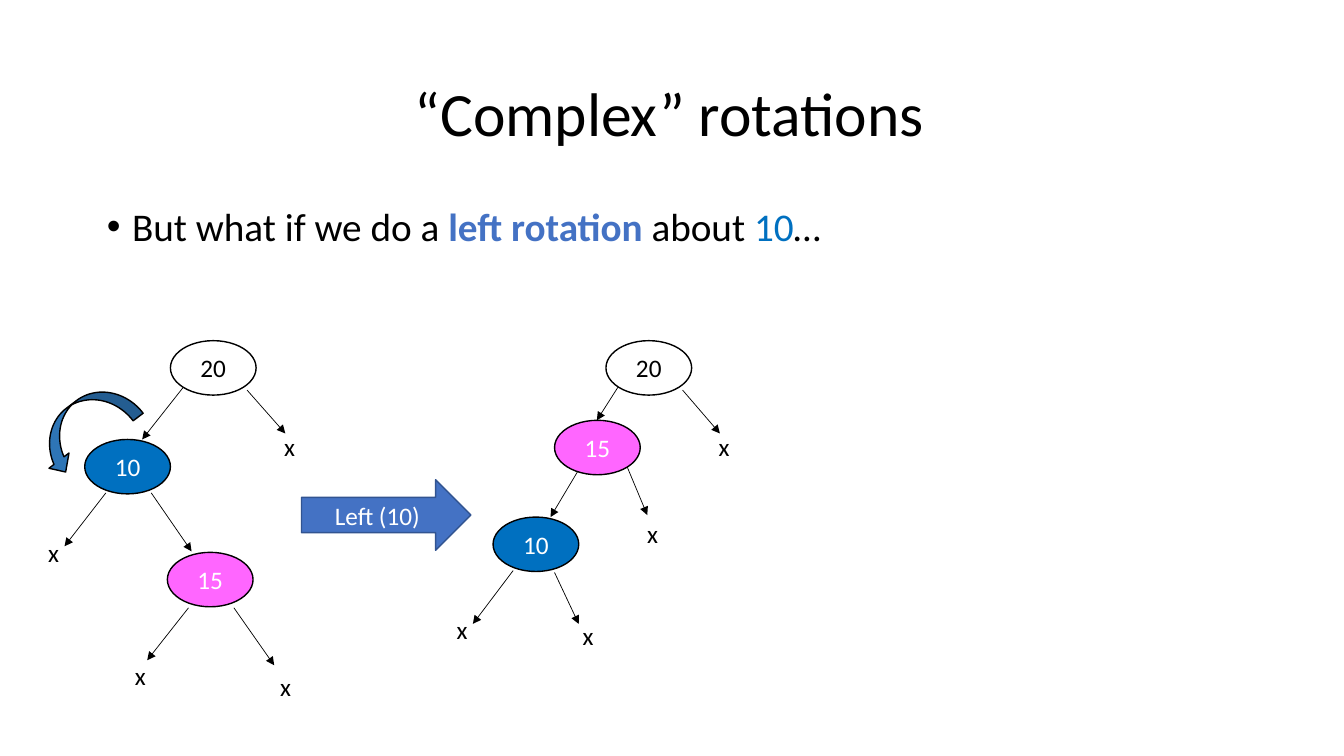
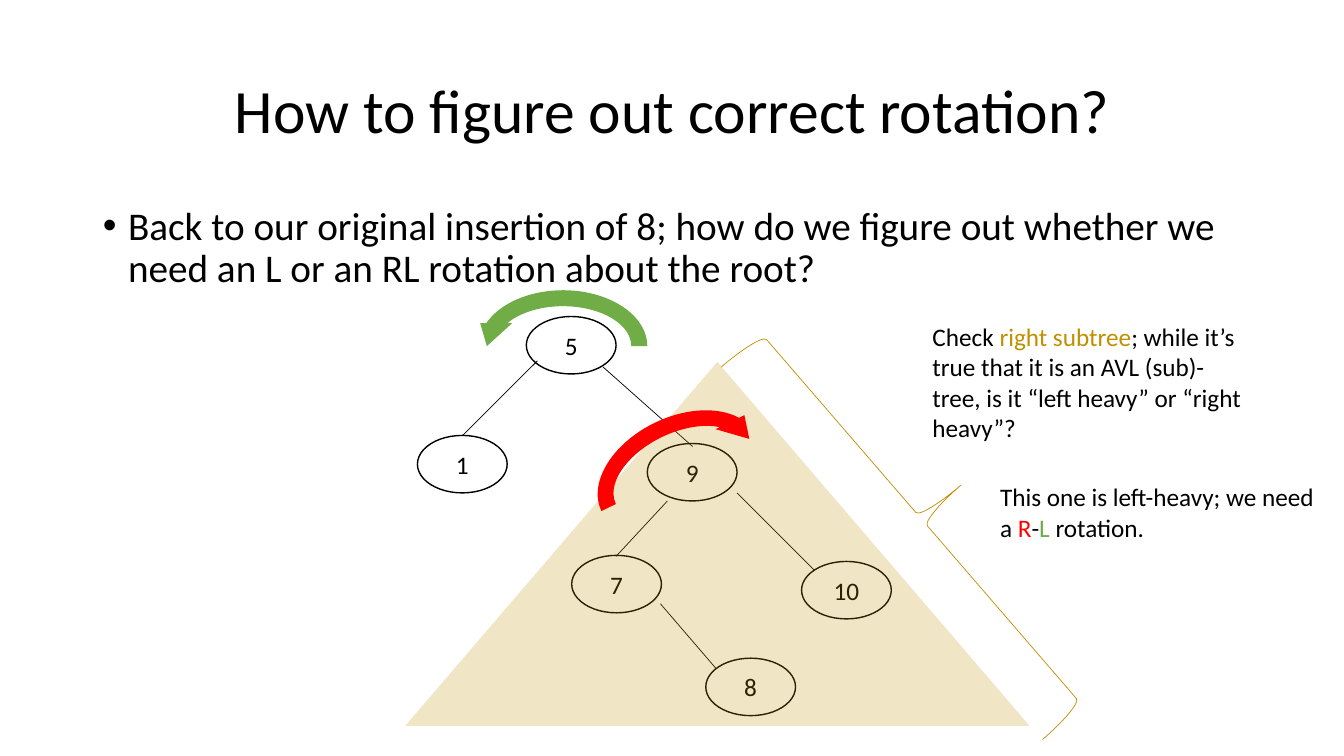
from dataclasses import dataclass
from typing import Any, NamedTuple, Optional

from lxml.etree import SubElement as Sub
from pptx import Presentation
from pptx.dml.color import RGBColor as Rgb
from pptx.enum.shapes import MSO_AUTO_SHAPE_TYPE as Kind, MSO_CONNECTOR as Link
from pptx.enum.text import MSO_ANCHOR as Anchor, MSO_AUTO_SIZE as Fit, PP_ALIGN as Align
from pptx.oxml.ns import qn
from pptx.util import Inches, Pt


# Theme: colours, font and sizes
@dataclass(frozen=True)
class Theme:
    font: str = "Calibri"
    black: str = "000000"
    white: str = "FFFFFF"
    blue: str = "4472C4"
    rim: str = "325491"
    deep: str = "0070C0"
    steel: str = "2E75B6"
    pink: str = "FF66FF"
    gold: str = "BF9000"
    red: str = "FF0000"
    green: str = "70AD47"
    title: int = 44
    body: int = 28
    label: int = 18
    thick: float = 1
    thin: float = 0.5


T = Theme()


class Span(NamedTuple):
    text: str
    ink: str = T.black
    bold: bool = False


class Box(NamedTuple):
    x: float
    y: float
    w: float
    h: float


class Node(NamedTuple):
    text: str
    x: float
    y: float
    fill: Optional[str] = None


class Edge(NamedTuple):
    x1: float
    y1: float
    x2: float
    y2: float


@dataclass
class Tree:
    size: tuple[float, float]
    nodes: list[Node]
    edges: list[Edge]
    nulls: list[tuple[float, float]]
    arrows: bool = False


# Helpers
def apply(target: Any, **style: Any) -> None:
    for name, value in style.items():
        setattr(target, name, value)


def write(frame: Any, spans: list[Span], size: int, **style: Any) -> None:
    para = frame.paragraphs[0]
    apply(para, **style)
    for span in spans:
        run = para.add_run()
        run.text = span.text
        apply(run.font, name=T.font, size=Pt(size), bold=span.bold)
        run.font.color.rgb = Rgb.from_string(span.ink)


def place(shape: Any, box: Box) -> None:
    left, top, width, height = map(Inches, box)
    apply(shape, left=left, top=top, width=width, height=height)


def shape(slide: Any, kind: Any, box: Box, fill: Optional[str] = None,
          line: Optional[str] = None, width: float = T.thick, turn: float = 0,
          flip: bool = False, alpha: Optional[int] = None) -> Any:
    item = slide.shapes.add_shape(kind, *map(Inches, box))
    item.shadow.inherit = False
    item.rotation = turn
    if fill:
        item.fill.solid()
        item.fill.fore_color.rgb = Rgb.from_string(fill)
    else:
        item.fill.background()
    if line:
        item.line.color.rgb = Rgb.from_string(line)
        item.line.width = Pt(width)
    else:
        item.line.fill.background()
    props = item.element.spPr
    if flip:
        props.find(qn("a:xfrm")).set("flipH", "1")
    if alpha is not None:
        tint = props.find(qn("a:solidFill")).find(qn("a:srgbClr"))
        Sub(tint, qn("a:alpha")).set("val", str(alpha * 1000))
    return item


def label(item: Any, text: str, ink: str) -> None:
    item.text_frame.vertical_anchor = Anchor.MIDDLE
    write(item.text_frame, [Span(text, ink)], T.label, alignment=Align.CENTER)


def note(slide: Any, box: Box, spans: list[Span], wrap: bool = True) -> None:
    frame = slide.shapes.add_textbox(*map(Inches, box)).text_frame
    apply(frame, word_wrap=wrap, auto_size=Fit.SHAPE_TO_FIT_TEXT)
    write(frame, spans, T.label)


def join(slide: Any, edge: Edge, arrow: bool) -> None:
    item = slide.shapes.add_connector(Link.STRAIGHT, *map(Inches, edge))
    item.line.color.rgb = Rgb.from_string(T.black)
    item.line.width = Pt(T.thin)
    if arrow:
        tail = Sub(item.line._get_or_add_ln(), qn("a:tailEnd"))
        tail.set("type", "triangle")
    Sub(item.element.spPr, qn("a:effectLst"))


def draw(slide: Any, tree: Tree) -> None:
    for edge in tree.edges:
        join(slide, edge, tree.arrows)
    for node in tree.nodes:
        oval = shape(slide, Kind.OVAL, Box(node.x, node.y, *tree.size), node.fill, T.black)
        label(oval, node.text, T.white if node.fill else T.black)
    for x, y in tree.nulls:
        note(slide, Box(x, y, 0.31, 0.4), [Span("x")], wrap=False)


def page(deck: Any, title: str, head: Box, spans: list[Span], main: Box) -> Any:
    slide = deck.slides.add_slide(deck.slide_layouts[1])
    name, body = slide.shapes.title, slide.placeholders[1]
    place(name, head)
    place(body, main)
    for item, anchor in ((name, Anchor.MIDDLE), (body, Anchor.TOP)):
        apply(item.text_frame, vertical_anchor=anchor, word_wrap=True, auto_size=Fit.NONE)
    tight = dict(line_spacing=0.9, space_before=Pt(0))
    write(name.text_frame, [Span(title)], T.title, alignment=Align.CENTER, **tight)
    props = body.text_frame.paragraphs[0]._p.get_or_add_pPr()
    props.set("marL", str(Inches(0.25)))
    props.set("indent", str(-Inches(0.25)))
    Sub(props, qn("a:buChar")).set("char", "•")
    write(body.text_frame, spans, T.body, alignment=Align.LEFT, **tight)
    return slide


# Trees before and after the left turn
SMALL = (0.85, 0.54)
BEFORE = Tree(
    SMALL,
    [Node("20", 1.69, 3.38), Node("10", 0.84, 4.36, T.deep), Node("15", 1.66, 5.48, T.pink)],
    [Edge(1.82, 3.84, 1.41, 4.36), Edge(2.45, 3.87, 2.83, 4.3),
     Edge(1.05, 4.89, 0.64, 5.42), Edge(1.5, 4.89, 1.9, 5.47),
     Edge(1.87, 6.03, 1.46, 6.55), Edge(2.32, 6.03, 2.72, 6.6)],
    [(2.72, 4.23), (0.38, 5.28), (1.24, 6.5), (2.68, 6.61)],
    arrows=True,
)
AFTER = Tree(
    SMALL,
    [Node("20", 6.01, 3.38), Node("15", 5.5, 4.17, T.pink), Node("10", 4.89, 5.13, T.deep)],
    [Edge(6.13, 3.84, 5.92, 4.17), Edge(6.77, 3.87, 7.14, 4.3),
     Edge(5.74, 4.66, 5.46, 5.13), Edge(6.22, 4.63, 6.42, 5.11),
     Edge(5.09, 5.66, 4.69, 6.19), Edge(5.5, 5.68, 5.74, 6.19)],
    [(7.03, 4.23), (6.32, 5.09), (4.43, 6.05), (5.68, 6.11)],
    arrows=True,
)
HEAVY = Tree(
    (0.89, 0.57),
    [Node("5", 5.22, 3.14), Node("1", 4.14, 4.32), Node("9", 6.42, 4.4),
     Node("7", 5.67, 5.51), Node("10", 7.95, 5.57), Node("8", 7, 6.53)],
    [Edge(5.33, 3.58, 4.59, 4.32), Edge(6.87, 4.43, 5.98, 3.64),
     Edge(6.11, 5.52, 6.62, 4.97), Edge(8.08, 5.66, 7.31, 4.89),
     Edge(7.1, 6.63, 6.55, 5.99)],
    [],
)


# Slide 1: a left turn about 10
def turns(deck: Any) -> None:
    slide = page(
        deck, "“Complex” rotations", Box(0.89, 0.43, 11.5, 1.45),
        [Span("But what if we do a "), Span("left rotation ", T.blue, True),
         Span("about "), Span("10", T.deep), Span("…")],
        Box(0.96, 2.01, 11.5, 4.76))
    step = shape(slide, Kind.RIGHT_ARROW, Box(2.99, 4.76, 1.68, 0.7), T.blue, T.rim)
    label(step, "Left (10)", T.white)
    for tree in (AFTER, BEFORE):
        draw(slide, tree)
    swing = shape(slide, Kind.CURVED_DOWN_ARROW, Box(0.29, 3.98, 1.09, 0.5),
                  T.steel, T.black, turn=322.8, flip=True)
    swing.adjustments[2] = 0.26


# Slide 2: which turn is right
def choice(deck: Any) -> None:
    slide = page(
        deck, "How to figure out correct rotation?", Box(0.92, 0.4, 11.5, 1.45),
        [Span("Back to our original insertion of 8; how do we figure out whether "
              "we need an L or an RL rotation about the root?")],
        Box(0.92, 2, 11.5, 4.76))
    draw(slide, HEAVY)
    shape(slide, Kind.ISOSCELES_TRIANGLE, Box(4.02, 3.59, 6.19, 3.61), T.gold, alpha=23)
    shape(slide, Kind.RIGHT_BRACE, Box(8.62, 2.71, 1.04, 4.88),
          line=T.gold, width=T.thin, turn=319.2)
    note(slide, Box(9.15, 3.14, 3.32, 1.31), [
        Span("Check "), Span("right subtree", T.gold),
        Span("; while it’s true that it is an AVL (sub)-tree, "
             "is it “left heavy” or “right heavy”?")])
    note(slide, Box(9.82, 4.73, 3.32, 0.71), [
        Span("This one is left-heavy; we need a "), Span("R", T.red), Span("-"),
        Span("L ", T.green), Span("rotation.")])
    shape(slide, Kind.CIRCULAR_ARROW, Box(5.8, 4.06, 1.87, 1.27), T.red, turn=334)
    shape(slide, Kind.CIRCULAR_ARROW, Box(4.67, 2.8, 1.83, 1.27), T.green, flip=True)


def main() -> None:
    deck = Presentation()
    apply(deck, slide_width=Inches(13.33), slide_height=Inches(7.5))
    turns(deck)
    choice(deck)
    deck.save("out.pptx")


if __name__ == "__main__":
    main()
